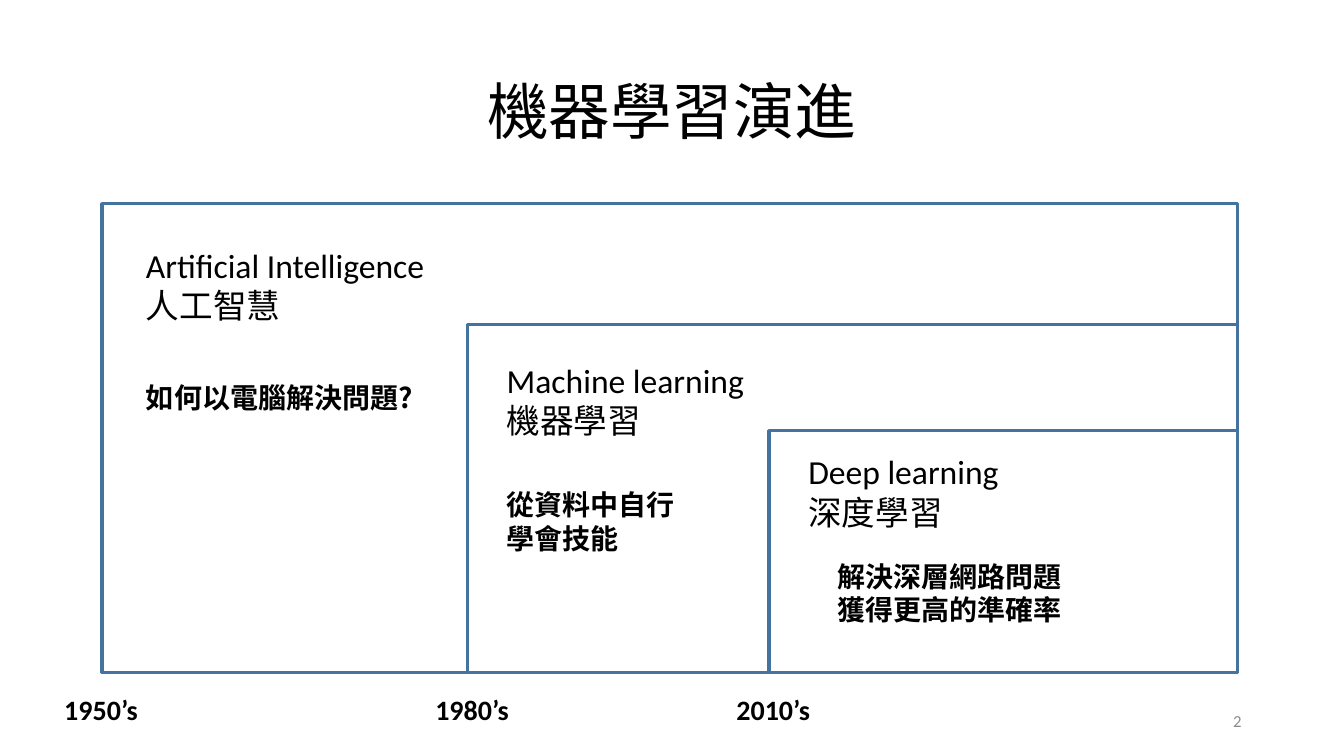
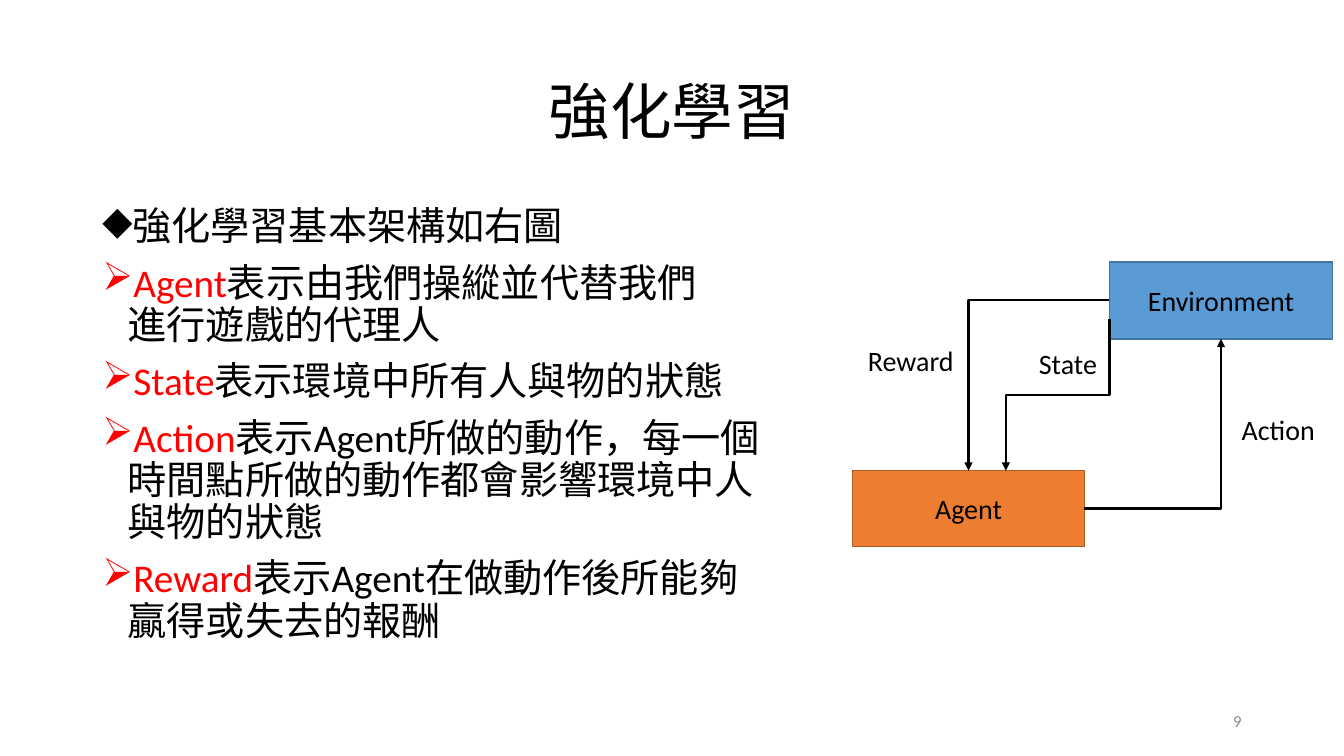
from lxml.etree import SubElement
from pptx import Presentation
from pptx.dml.color import RGBColor
from pptx.enum.shapes import MSO_CONNECTOR, MSO_SHAPE
from pptx.enum.text import MSO_ANCHOR, PP_ALIGN
from pptx.oxml.ns import qn
from pptx.util import Cm, Pt

COLORS = {
    "text": "000000", "term": "FF0000", "page": "8C8C8C", "paper": "FFFFFF",
    "blue": "5B9BD5", "edge": "43739E", "orange": "ED7D31", "rust": "AF5C24",
}
LATIN, HAN = "Calibri", "Noto Sans CJK SC"
LOOSE, TIGHT = 1.2, 1.08  # line height as a multiple of the type size

# Nested eras share their right and bottom edges.
RIGHT, BOTTOM = 31.18, 16.94
ERAS = [
    dict(corner=(2.57, 5.13), name="Artificial Intelligence\n人工智慧",
         head=(3.43, 6.05, 7.72, 2.31), note="如何以電腦解決問題?",
         body=(3.43, 9.47, 7.19, 1.12), year="1950’s", left=1.37),
    dict(corner=(11.79, 8.18), name="Machine learning\n機器學習",
         head=(12.52, 8.94, 6.86, 2.31), note="從資料中自行\n學會技能",
         body=(12.52, 12.17, 6.1, 1.96), year="1980’s", left=10.72),
    dict(corner=(19.38, 10.85), name="Deep learning\n深度學習",
         head=(20.12, 11.25, 6.3, 2.31), note="解決深層網路問題\n獲得更高的準確率",
         body=(20.85, 13.97, 7.26, 1.96), year="2010’s", left=18.31),
]

# Bullet, red term, explanation
POINTS = [
    ("◆", "", "強化學習基本架構如右圖"),
    ("➢", "Agent", "表示由我們操縱並代替我們\n進行遊戲的代理人"),
    ("➢", "State", "表示環境中所有人與物的狀態"),
    ("➢", "Action", "表示Agent所做的動作，每一個\n時間點所做的動作都會影響環境中人\n與物的狀態"),
    ("➢", "Reward", "表示Agent在做動作後所能夠\n贏得或失去的報酬"),
]
WORLD = (27.96, 6.6, 5.62, 1.94)
AGENT = (21.49, 11.86, 5.84, 1.91)
LABELS = [
    ("Reward", (21.62, 8.53, 4.32, 1.12)),
    ("State", (25.93, 8.61, 2.16, 1.12)),
    ("Action", (31.04, 10.26, 2.54, 1.12)),
]


def paint(font, color):
    font.color.rgb = RGBColor.from_string(COLORS[color])


def style(par, size, color="text", bold=False, face=LATIN, lead=LOOSE):
    par.line_spacing = Pt(round(size * lead, 1))
    font = par.font
    font.size, font.bold, font.name = Pt(size), bold, face
    paint(font, color)
    props = par._p.pPr.find(qn("a:defRPr"))
    SubElement(props, qn("a:ea"), typeface=HAN)


def write(par, text, color=None):
    """Append text, turning each newline into a line break."""
    for i, line in enumerate(text.split("\n")):
        if i:
            par.add_line_break()
        run = par.add_run()
        run.text = line
        if color:
            paint(run.font, color)


def add_text(slide, box, text, size, align=PP_ALIGN.LEFT,
             anchor=MSO_ANCHOR.TOP, **look):
    frame = slide.shapes.add_textbox(*map(Cm, box)).text_frame
    frame.word_wrap, frame.vertical_anchor = True, anchor
    par = frame.paragraphs[0]
    par.alignment = align
    write(par, text)
    style(par, size, **look)


def add_box(slide, box, fill, edge, width, text=None):
    shape = slide.shapes.add_shape(MSO_SHAPE.RECTANGLE, *map(Cm, box))
    shape.shadow.inherit = False
    shape.fill.solid()
    paint_fill = RGBColor.from_string(COLORS[fill])
    shape.fill.fore_color.rgb = paint_fill
    shape.line.color.rgb = RGBColor.from_string(COLORS[edge])
    shape.line.width = Pt(width)
    if text:
        frame = shape.text_frame
        frame.vertical_anchor = MSO_ANCHOR.MIDDLE
        par = frame.paragraphs[0]
        par.alignment = PP_ALIGN.CENTER
        write(par, text)
        style(par, 20)
    return shape


def add_arrow(slide, start, end, drop=False):
    """Draw a one-bend arrow, or a down-left-down one if drop is set."""
    (x1, y1), (x2, y2) = start, end
    if drop:
        # The frame is turned by 90 degrees, so its sides swap around the centre.
        mx, my = (x1 + x2) / 2, (y1 + y2) / 2
        dx, dy = abs(y2 - y1) / 2, abs(x2 - x1) / 2
        x1, y1, x2, y2 = mx - dx, my - dy, mx + dx, my + dy
    arrow = slide.shapes.add_connector(
        MSO_CONNECTOR.ELBOW, *map(Cm, (x1, y1, x2, y2)))
    arrow.line.color.rgb = RGBColor.from_string(COLORS["text"])
    arrow.line.width = Pt(1.5)
    props = arrow._element.spPr
    if drop:
        props.find(qn("a:xfrm")).set("rot", "5400000")
    else:
        props.find(qn("a:prstGeom")).set("prst", "bentConnector2")
    SubElement(props.find(qn("a:ln")), qn("a:tailEnd"), type="triangle")
    SubElement(props, qn("a:effectLst"))
    return arrow


def add_slide(deck, title, page):
    slide = deck.slides.add_slide(deck.slide_layouts[6])
    add_text(slide, (2.33, 1.01, 29.21, 3.68), title, 44, PP_ALIGN.CENTER,
             MSO_ANCHOR.MIDDLE, face=HAN, lead=TIGHT)
    add_text(slide, (23.92, 17.65, 7.62, 1.01), page, 12, PP_ALIGN.RIGHT,
             MSO_ANCHOR.MIDDLE, color="page")
    return slide


def add_points(slide):
    box = slide.shapes.add_textbox(*map(Cm, (2.33, 5.08, 29.21, 12.09)))
    frame = box.text_frame
    frame.word_wrap = True
    for i, (mark, term, text) in enumerate(POINTS):
        par = frame.add_paragraph() if i else frame.paragraphs[0]
        if i:
            par.space_before = Pt(10)
        props = par._p.get_or_add_pPr()
        props.set("marL", str(Cm(0.64)))
        props.set("indent", str(-Cm(0.64)))
        SubElement(props, qn("a:buChar"), char=mark)
        if term:
            write(par, term, "term")
        write(par, text)
        style(par, 28, lead=TIGHT)


def add_eras(slide):
    for era in ERAS:
        x, y = era["corner"]
        add_box(slide, (x, y, RIGHT - x, BOTTOM - y), "paper", "edge", 2.25)
    for era in ERAS:
        add_text(slide, era["head"], era["name"], 24)
        add_text(slide, era["body"], era["note"], 20, bold=True, face=HAN)
        add_text(slide, (era["left"], 17.32, 3.6, 1.12), era["year"], 20, bold=True)


def add_loop(slide):
    world = add_box(slide, WORLD, "blue", "edge", 1, "Environment")
    agent = add_box(slide, AGENT, "orange", "rust", 1, "Agent")
    left, top, width, height = WORLD
    roof = AGENT[1]
    add_arrow(slide, (left, top + height / 2), (24.41, roof))
    add_arrow(slide, (left, 8.03), (25.35, roof), drop=True)
    action = add_arrow(slide, (AGENT[0] + AGENT[2], roof + AGENT[3] / 2),
                       (left + width / 2, top + height))
    action.begin_connect(agent, 3)
    action.end_connect(world, 2)
    for text, box in LABELS:
        add_text(slide, box, text, 20)


def main():
    deck = Presentation()
    deck.slide_width, deck.slide_height = Cm(33.87), Cm(19.05)
    add_eras(add_slide(deck, "機器學習演進", "2"))
    slide = add_slide(deck, "強化學習", "9")
    add_points(slide)
    add_loop(slide)
    deck.save("out.pptx")


if __name__ == "__main__":
    main()
